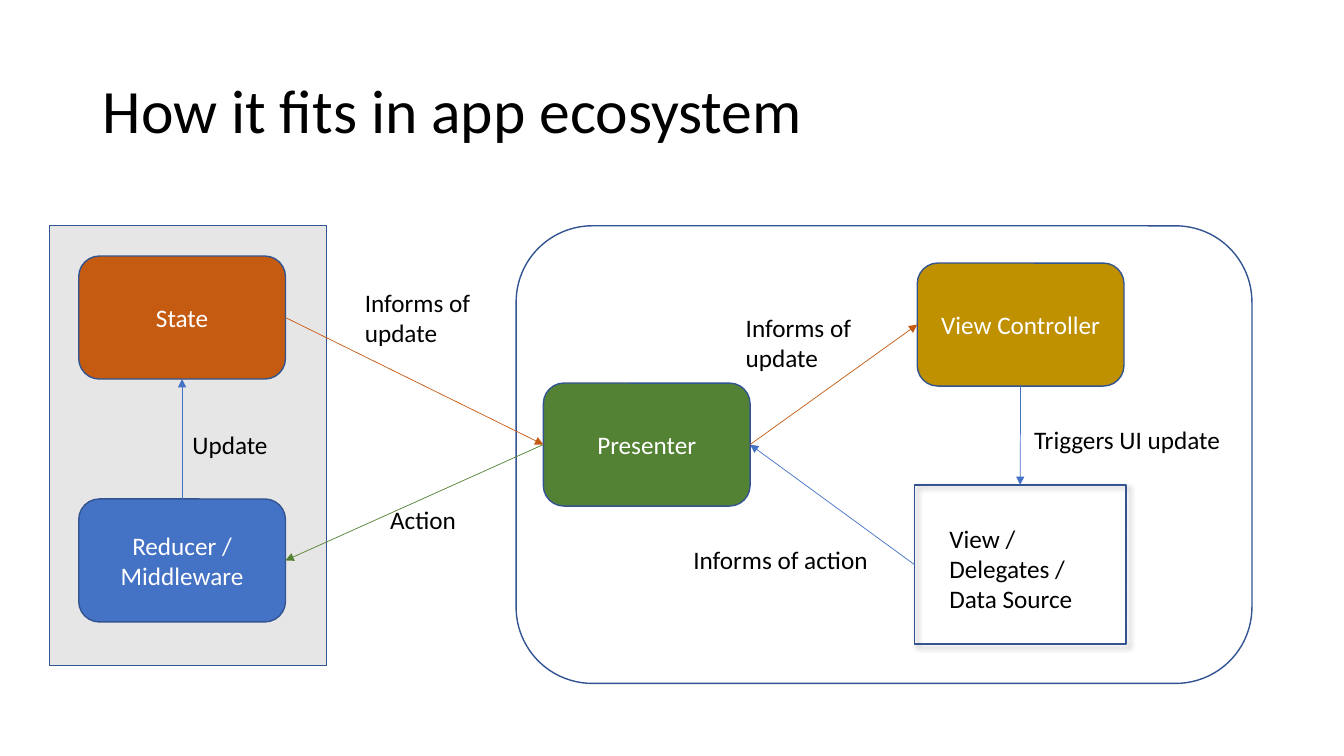
from dataclasses import dataclass

from lxml import etree
from pptx import Presentation
from pptx import util as u
from pptx.dml.color import RGBColor
from pptx.enum import shapes, text
from pptx.oxml import parse_xml
from pptx.oxml.ns import nsdecls, qn


@dataclass(frozen=True)
class Theme:
    font: str = "Calibri"
    title_size: float = 44
    body_size: float = 18
    outline_width: float = 1
    arrow_width: float = 0.5
    ink: str = "000000"
    paper: str = "FFFFFF"
    outline: str = "325491"
    panel: str = "E7E6E6"
    orange: str = "C55A11"
    blue: str = "4472C4"
    green: str = "548235"
    gold: str = "BF9000"


@dataclass(frozen=True)
class Box:
    left: float
    top: float
    width: float
    height: float

    def inside(self, dx, dy, width, height):
        return Box(self.left + dx, self.top + dy, width, height)

    def emu(self):
        return (int(self.left * SLIDE_W / 100), int(self.top * SLIDE_H / 100),
                int(self.width * SLIDE_W / 100), int(self.height * SLIDE_H / 100))


THEME = Theme()
SLIDE_W, SLIDE_H = u.Inches(13.33), u.Inches(7.5)
NODE = (15.38, 16.27)
LINE_STEP, NOTE_PAD = 4.07, 1.26
TOP, LEFT, BOTTOM, RIGHT = range(4)
RECT, ROUND = shapes.MSO_SHAPE.RECTANGLE, shapes.MSO_SHAPE.ROUNDED_RECTANGLE


def style_text(frame, words, size, color, align):
    frame.text = words
    for paragraph in frame.paragraphs:
        paragraph.alignment = align
        for run in paragraph.runs:
            run.font.name = THEME.font
            run.font.size = u.Pt(size)
            run.font.color.rgb = RGBColor.from_string(color)


def add_block(slide, box, preset, fill=None, words=""):
    block = slide.shapes.add_shape(preset, *box.emu())
    block.shadow.inherit = False
    if fill:
        block.fill.solid()
        block.fill.fore_color.rgb = RGBColor.from_string(fill)
    else:
        block.fill.background()
    block.line.color.rgb = RGBColor.from_string(THEME.outline)
    block.line.width = u.Pt(THEME.outline_width)
    if words:
        block.text_frame.vertical_anchor = text.MSO_ANCHOR.MIDDLE
        style_text(block.text_frame, words, THEME.body_size, THEME.paper,
                   text.PP_ALIGN.CENTER)
    return block


def add_node(slide, region, dx, dy, fill, words):
    return add_block(slide, region.inside(dx, dy, *NODE), ROUND, fill, words)


def add_note(slide, region, dx, dy, width, words):
    height = NOTE_PAD + LINE_STEP * len(words.split("\n"))
    note = slide.shapes.add_textbox(*region.inside(dx, dy, width, height).emu())
    note.text_frame.word_wrap = False
    note.text_frame.auto_size = text.MSO_AUTO_SIZE.SHAPE_TO_FIT_TEXT
    style_text(note.text_frame, words, THEME.body_size, THEME.ink,
               text.PP_ALIGN.LEFT)


def add_arrow(slide, source, source_side, target, target_side, color):
    arrow = slide.shapes.add_connector(shapes.MSO_CONNECTOR.STRAIGHT, 0, 0, 0, 0)
    arrow.begin_connect(source, source_side)
    arrow.end_connect(target, target_side)
    arrow.line.color.rgb = RGBColor.from_string(color)
    arrow.line.width = u.Pt(THEME.arrow_width)
    properties = arrow.element.spPr
    etree.SubElement(properties.find(qn("a:ln")), qn("a:tailEnd"), type="triangle")
    etree.SubElement(properties, qn("a:effectLst"))


def add_drop_shadow(block):
    properties = block.element.spPr
    properties.remove(properties.find(qn("a:effectLst")))
    properties.append(parse_xml(
        f'<a:effectLst {nsdecls("a")}>'
        f'<a:outerShdw blurRad="{u.Pt(4)}" dist="{u.Pt(3)}" dir="2700000" '
        'algn="tl" rotWithShape="0"><a:srgbClr val="000000">'
        '<a:alpha val="40000"/></a:srgbClr></a:outerShdw></a:effectLst>'))


def title_region(slide, box):
    title = slide.shapes.add_textbox(*box.emu())
    frame = title.text_frame
    frame.word_wrap = True
    frame.vertical_anchor = text.MSO_ANCHOR.MIDDLE
    style_text(frame, "How it fits in app ecosystem", THEME.title_size,
               THEME.ink, text.PP_ALIGN.LEFT)
    frame.paragraphs[0].line_spacing = 0.9


def store_region(slide, box):
    add_block(slide, box, RECT, THEME.panel)
    state = add_node(slide, box, 2.18, 4, THEME.orange, "State")
    reducer = add_node(slide, box, 2.18, 36.13, THEME.blue, "Reducer / Middleware")
    add_arrow(slide, reducer, TOP, state, BOTTOM, THEME.blue)
    add_note(slide, box, 9.9, 26.27, 7.2, "Update")
    return state, reducer


def interface_region(slide, box):
    add_block(slide, box, ROUND)
    presenter = add_node(slide, box, 2.03, 20.8, THEME.green, "Presenter")
    controller = add_node(slide, box, 29.85, 4.93, THEME.gold, "View Controller")
    view = add_block(slide, box.inside(29.63, 34.27, 15.75, 21.07), RECT)
    add_drop_shadow(view)
    add_arrow(slide, presenter, RIGHT, controller, LEFT, THEME.orange)
    add_arrow(slide, controller, BOTTOM, view, TOP, THEME.blue)
    add_arrow(slide, view, LEFT, presenter, RIGHT, THEME.blue)
    for dx, dy, width, words in (
            (16.35, 10.8, 9.9, "Informs of\nupdate"),
            (37.8, 25.6, 15.53, "Triggers UI update"),
            (31.5, 38.67, 10.8, "View /\nDelegates /\nData Source"),
            (12.45, 41.47, 15.08, "Informs of action")):
        add_note(slide, box, dx, dy, width, words)
    return presenter


def exchange_region(slide, box, state, reducer, presenter):
    add_arrow(slide, presenter, LEFT, reducer, RIGHT, THEME.green)
    add_arrow(slide, state, RIGHT, presenter, LEFT, THEME.orange)
    add_note(slide, box, 2.1, 7.47, 9.9, "Informs of\nupdate")
    add_note(slide, box, 3.98, 36.13, 6.45, "Action")


def main():
    deck = Presentation()
    deck.slide_width, deck.slide_height = SLIDE_W, SLIDE_H
    slide = deck.slides.add_slide(deck.slide_layouts[6])
    title_region(slide, Box(6.9, 5.33, 86.25, 19.33))
    state, reducer = store_region(slide, Box(3.68, 29.87, 20.63, 58.13))
    presenter = interface_region(slide, Box(38.4, 29.87, 54.75, 60.53))
    exchange_region(slide, Box(24.31, 29.87, 14.09, 58.13),
                    state, reducer, presenter)
    deck.save("out.pptx")


if __name__ == "__main__":
    main()
